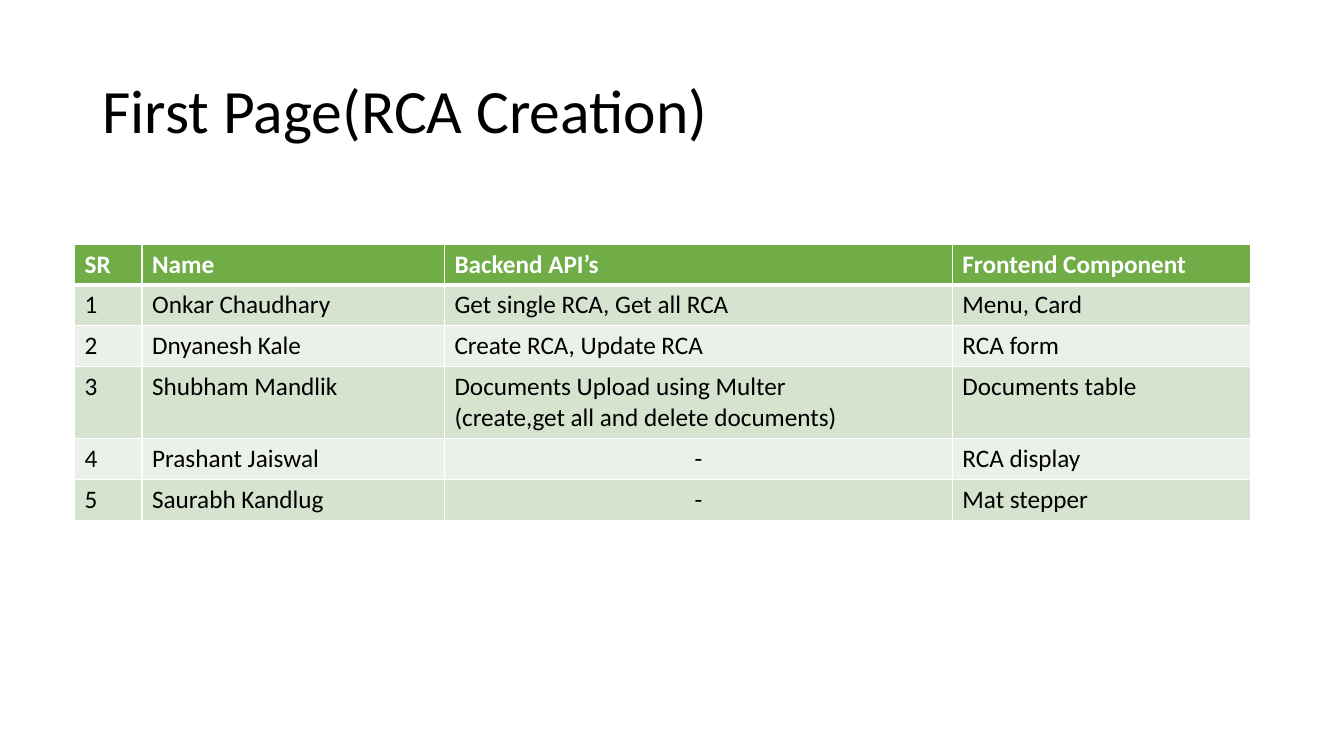
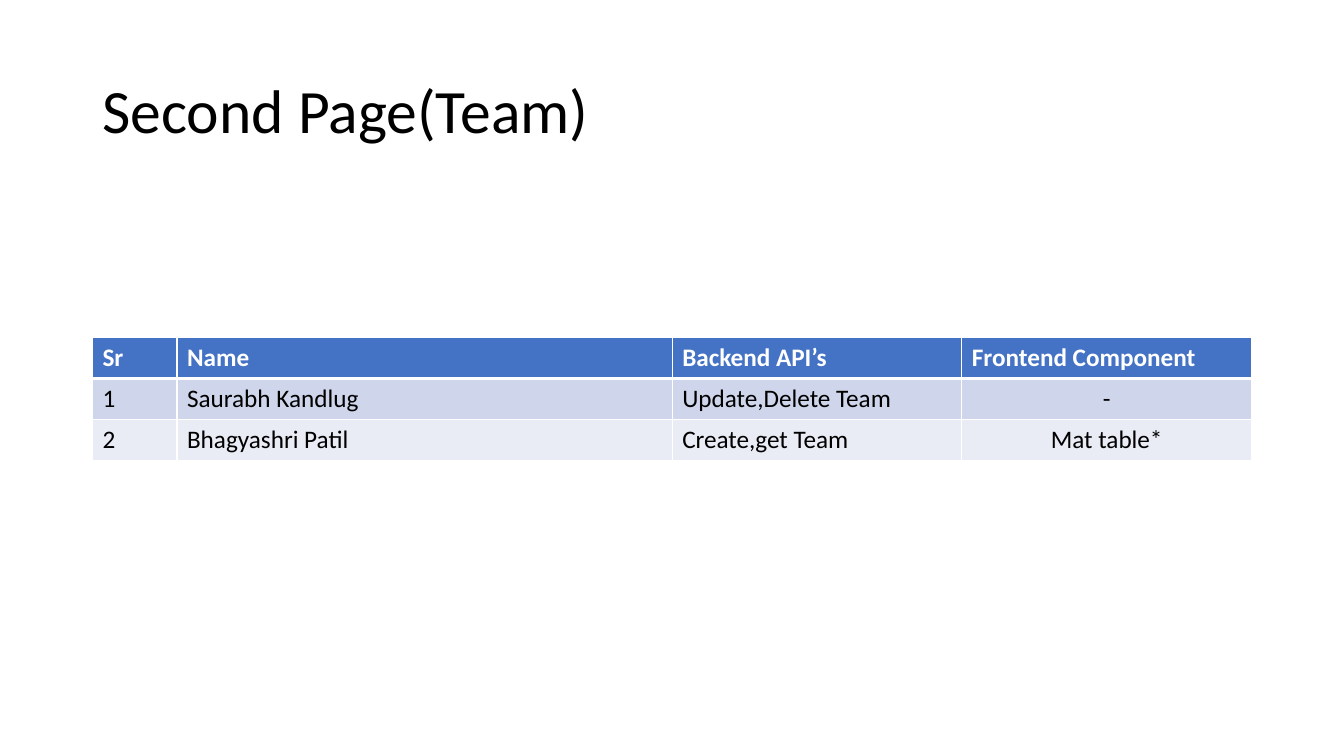
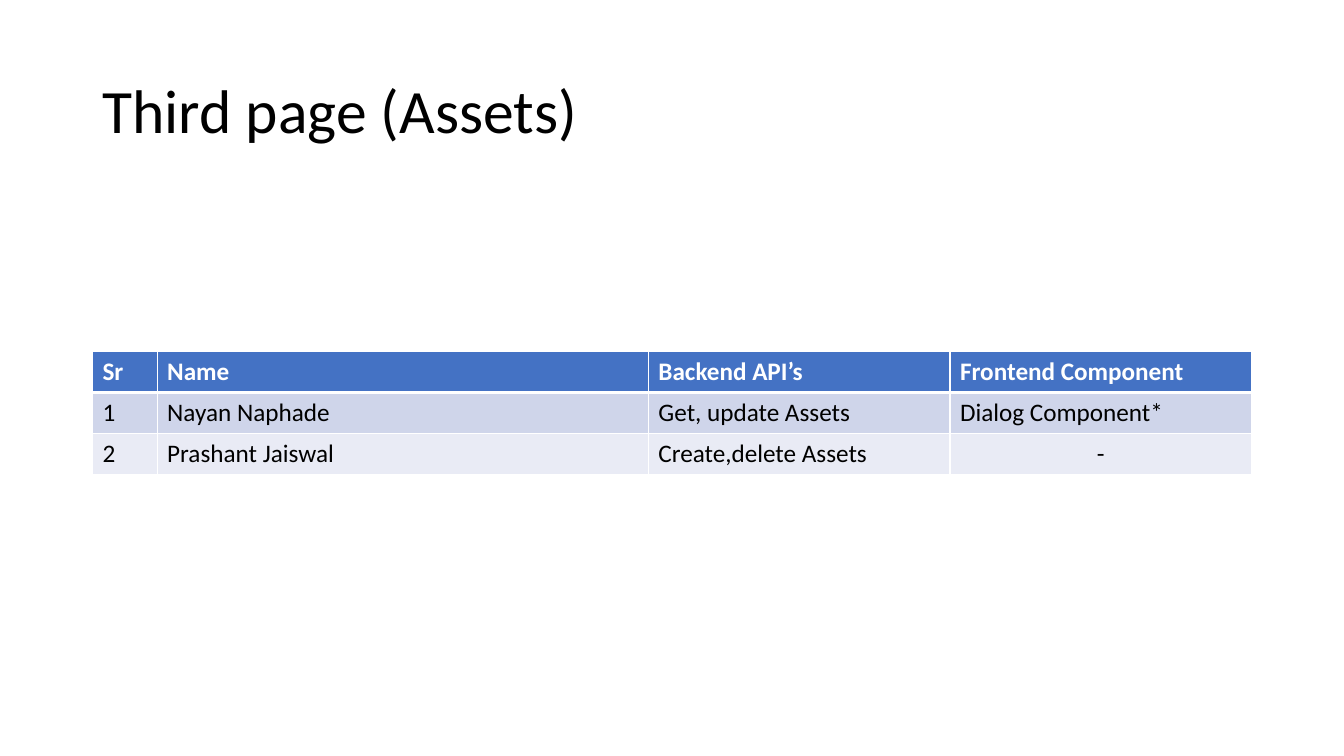
"""Build three slides that share out RCA, team and asset work in tables."""
import pptx
import pptx.dml.color
import pptx.enum.text
import pptx.oxml
import pptx.oxml.ns
import pptx.util

Cm = pptx.util.Cm
Pt = pptx.util.Pt
Align = pptx.enum.text.PP_ALIGN
Anchor = pptx.enum.text.MSO_ANCHOR

HUES = {
    "ink": "000000",
    "white": "FFFFFF",
    "green": "70AD47",
    "sage": "D5E3CF",
    "mint": "EBF1E9",
    "blue": "4472C4",
    "sky": "CFD5EA",
    "pale": "E9EBF5",
}
GREENS = ("green", "sage", "mint")
BLUES = ("blue", "sky", "pale")
FONT = "Calibri"
ROW = 1.03
TALL = 1.81
TITLE_BOX = {"left": Cm(2.33), "top": Cm(1.01), "width": Cm(29.21), "height": Cm(3.68)}
TITLE_FRAME = {
    "vertical_anchor": Anchor.MIDDLE,
    "word_wrap": True,
    "auto_size": pptx.enum.text.MSO_AUTO_SIZE.NONE,
}
TITLE_LINE = {"alignment": Align.LEFT, "line_spacing": 0.9}
TITLE_FONT = {"name": FONT, "size": Pt(44), "bold": False}
HEAD_FONT = {"name": FONT, "size": Pt(18), "bold": True}
BODY_FONT = {**HEAD_FONT, "bold": False}
MIDDLE = {"-", "Mat table*"}
HEADS = ["Name", "Backend API’s", "Frontend Component"]

PAGES = [
    {
        "title": "First Page(RCA Creation)",
        "spot": (1.88, 6.15),
        "cols": [1.7, 7.62, 12.8, 7.52],
        "tones": GREENS,
        "rows": [
            ["SR", *HEADS],
            ["1", "Onkar Chaudhary", "Get single RCA, Get all RCA", "Menu, Card"],
            ["2", "Dnyanesh Kale", "Create RCA, Update RCA", "RCA form"],
            ["3", "Shubham Mandlik",
             "Documents Upload using Multer\n(create,get all and delete documents)",
             "Documents table"],
            ["4", "Prashant Jaiswal", "-", "RCA display"],
            ["5", "Saurabh Kandlug", "-", "Mat stepper"],
        ],
    },
    {
        "title": "Second Page(Team)",
        "spot": (2.33, 8.51),
        "cols": [2.13, 12.48, 7.3, 7.3],
        "tones": BLUES,
        "rows": [
            ["Sr", *HEADS],
            ["1", "Saurabh Kandlug", "Update,Delete Team", "-"],
            ["2", "Bhagyashri Patil", "Create,get Team", "Mat table*"],
        ],
    },
    {
        "title": "Third page (Assets)",
        "spot": (2.33, 8.86),
        "cols": [1.63, 12.38, 7.6, 7.6],
        "tones": BLUES,
        "rows": [
            ["Sr", *HEADS],
            ["1", "Nayan Naphade", "Get, update Assets", "Dialog Component*"],
            ["2", "Prashant Jaiswal", "Create,delete Assets", "-"],
        ],
    },
]


def put(item, vals):
    """Set each attribute of an item from a dict."""
    for key, val in vals.items():
        setattr(item, key, val)


def tint(hue):
    """Return the named colour."""
    return pptx.dml.color.RGBColor.from_string(HUES[hue])


def style(frame, line, font, hue):
    """Format every paragraph and run in a text frame."""
    for para in frame.paragraphs:
        put(para, line)
        for run in para.runs:
            put(run.font, font)
            run.font.color.rgb = tint(hue)


def edge(cell, row):
    """Draw white cell borders, thick below the header row."""
    props = cell._tc.get_or_add_tcPr()
    thick = {(0, "B"), (1, "T")}
    for side in "LRTB":
        width = Pt(3 if (row, side) in thick else 1)
        props.append(pptx.oxml.parse_xml(
            f'<a:ln{side} {pptx.oxml.ns.nsdecls("a")} w="{width}"><a:solidFill>'
            f'<a:srgbClr val="{HUES["white"]}"/></a:solidFill></a:ln{side}>'
        ))


def head(slide, text, box):
    """Place and format the slide title in a box."""
    title = slide.shapes.title
    put(title, box)
    frame = title.text_frame
    frame.text = text
    put(frame, TITLE_FRAME)
    style(frame, TITLE_LINE, TITLE_FONT, "ink")


def fill(cell, text, row, tones):
    """Write and format one table cell."""
    edge(cell, row)
    cell.fill.solid()
    cell.fill.fore_color.rgb = tint(tones[0] if row == 0 else tones[2 - row % 2])
    cell.text_frame.text = text
    line = {"alignment": Align.CENTER if text in MIDDLE else Align.LEFT}
    font, hue = (BODY_FONT, "ink") if row else (HEAD_FONT, "white")
    style(cell.text_frame, line, font, hue)


def grid(slide, spot, cols, rows, tones):
    """Place a table of tasks with its top left corner at a spot."""
    highs = [TALL if any("\n" in text for text in row) else ROW for row in rows]
    box = [Cm(size) for size in (*spot, sum(cols), sum(highs))]
    table = slide.shapes.add_table(len(rows), len(cols), *box).table
    for col, wide in zip(table.columns, cols):
        col.width = Cm(wide)
    for num, (row, high) in enumerate(zip(rows, highs)):
        table.rows[num].height = Cm(high)
        for cell, text in zip(table.rows[num].cells, row):
            fill(cell, text, num, tones)


def main():
    """Build and save the deck."""
    deck = pptx.Presentation()
    put(deck, {"slide_width": Cm(33.87), "slide_height": Cm(19.05)})
    for page in PAGES:
        slide = deck.slides.add_slide(deck.slide_layouts[5])
        head(slide, page["title"], TITLE_BOX)
        grid(slide, page["spot"], page["cols"], page["rows"], page["tones"])
    deck.save("out.pptx")


if __name__ == "__main__":
    main()
